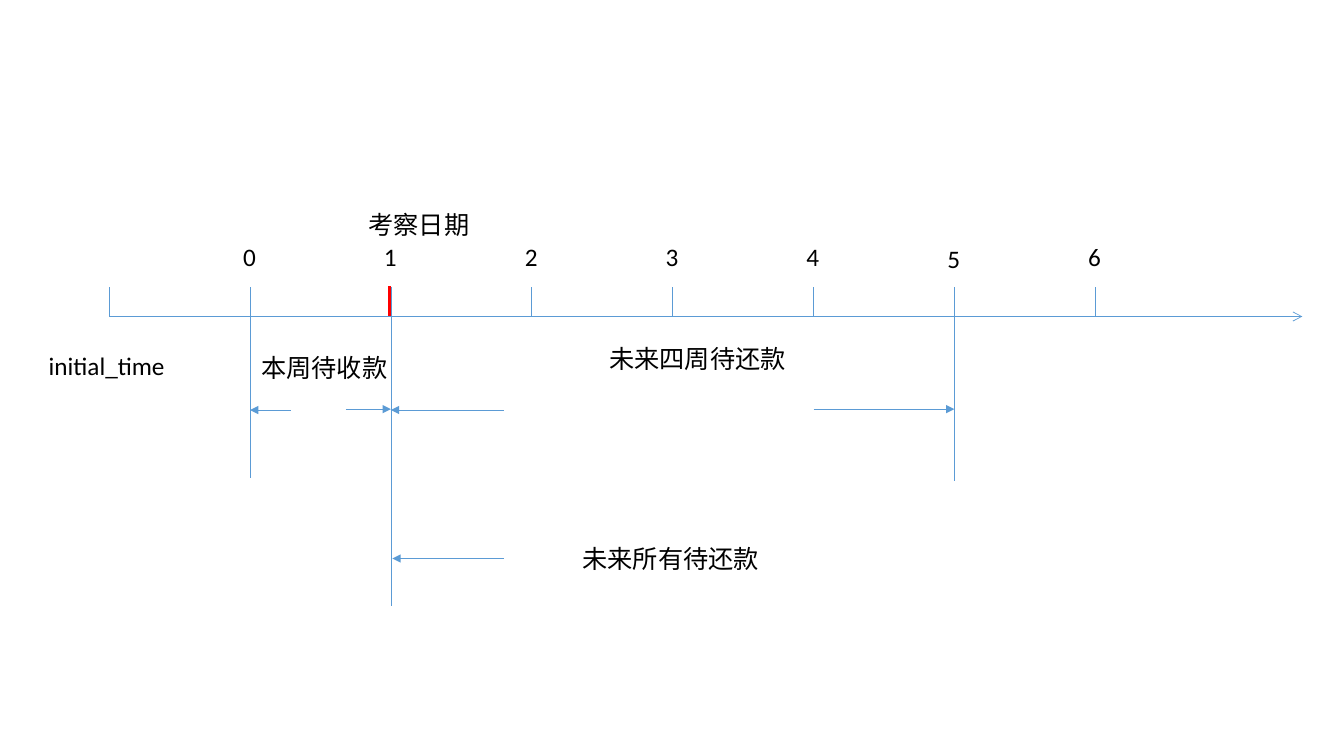
from lxml import etree
from pptx import Presentation
from pptx.dml.color import RGBColor
from pptx.enum.shapes import MSO_CONNECTOR
from pptx.oxml.ns import qn
from pptx.util import Inches, Pt

STRAIGHT = MSO_CONNECTOR.STRAIGHT
BLUE = RGBColor(0x5B, 0x9B, 0xD5)
RED = RGBColor(0xFF, 0x00, 0x00)
BLACK = RGBColor(0x00, 0x00, 0x00)
WHITE = RGBColor(0xFF, 0xFF, 0xFF)

WEEKS = range(7)
START = -1  # the week column of initial_time


class Timeline:
    """Draws on a grid: columns are weeks from week 0, rows are tick heights from the axis."""

    font_name = "Calibri"
    font_size = Pt(18)
    week_zero = Inches(2.48)
    axis_top = Inches(3.14)
    column = Inches(9.78) / 7
    row = Inches(0.29)

    def __init__(self, slide):
        self.slide = slide

    def place(self, week, level):
        return (round(self.week_zero + week * self.column),
                round(self.axis_top + level * self.row))

    def line(self, start, end, color=BLUE, width=0.5, arrowhead=None):
        connector = self.slide.shapes.add_connector(
            STRAIGHT, *self.place(*start), *self.place(*end))
        connector.line.color.rgb = color
        connector.line.width = Pt(width)
        if arrowhead:
            line_properties = connector.line._get_or_add_ln()
            etree.SubElement(line_properties, qn("a:tailEnd"), type=arrowhead)
        etree.SubElement(connector._element.spPr, qn("a:effectLst"))

    def label(self, text, week, level, columns, rows=1.38, wrap=False):
        box = self.slide.shapes.add_textbox(
            *self.place(week, level),
            round(columns * self.column), round(rows * self.row))
        text_frame = box.text_frame
        text_frame.word_wrap = wrap
        text_frame.text = text
        font = text_frame.paragraphs[0].runs[0].font
        font.name = self.font_name
        font.size = self.font_size
        font.color.rgb = BLACK


def main():
    presentation = Presentation()
    presentation.slide_width = Inches(13.33)
    presentation.slide_height = Inches(7.5)
    slide = presentation.slides.add_slide(presentation.slide_layouts[6])
    slide.background.fill.solid()
    slide.background.fill.fore_color.rgb = WHITE
    timeline = Timeline(slide)

    # Time axis with its ticks and week numbers
    timeline.line((START, 0), (7.47, 0), arrowhead="arrow")
    timeline.line((START, -1), (START, -0.03))
    for week in WEEKS:
        timeline.line((week, -1), (week, 0))
        number_level = -2.69 if week == 5 else -2.76
        timeline.label(str(week), week - 0.12, number_level, 0.39, 1.97, wrap=True)

    # Limits of the periods below the axis
    for week, bottom in ((0, 5.52), (1, 9.9), (5, 5.62)):
        timeline.line((week, 0), (week, bottom))

    # Arrows pointing at the limits
    for tail, head, level in ((0.29, 0, 3.2), (0.68, 1, 3.17), (1.8, 1, 3.2),
                              (4, 5, 3.17), (1.8, 1.01, 8.28)):
        timeline.line((tail, level), (head, level), arrowhead="triangle")

    # Observation date
    timeline.line((0.99, -1.03), (0.99, 0), color=RED, width=2.25)
    timeline.label("考察日期", 0.77, -3.83, 0.87)

    # Start and period labels
    timeline.label("initial_time", -1.5, 1, 1.12, wrap=True)
    timeline.label("本周待收款", 0.01, 1.07, 1.05)
    timeline.label("未来四周待还款", 2.48, 0.76, 1.41)
    timeline.label("未来所有待还款", 2.29, 7.59, 1.41)

    presentation.save("out.pptx")


if __name__ == "__main__":
    main()
